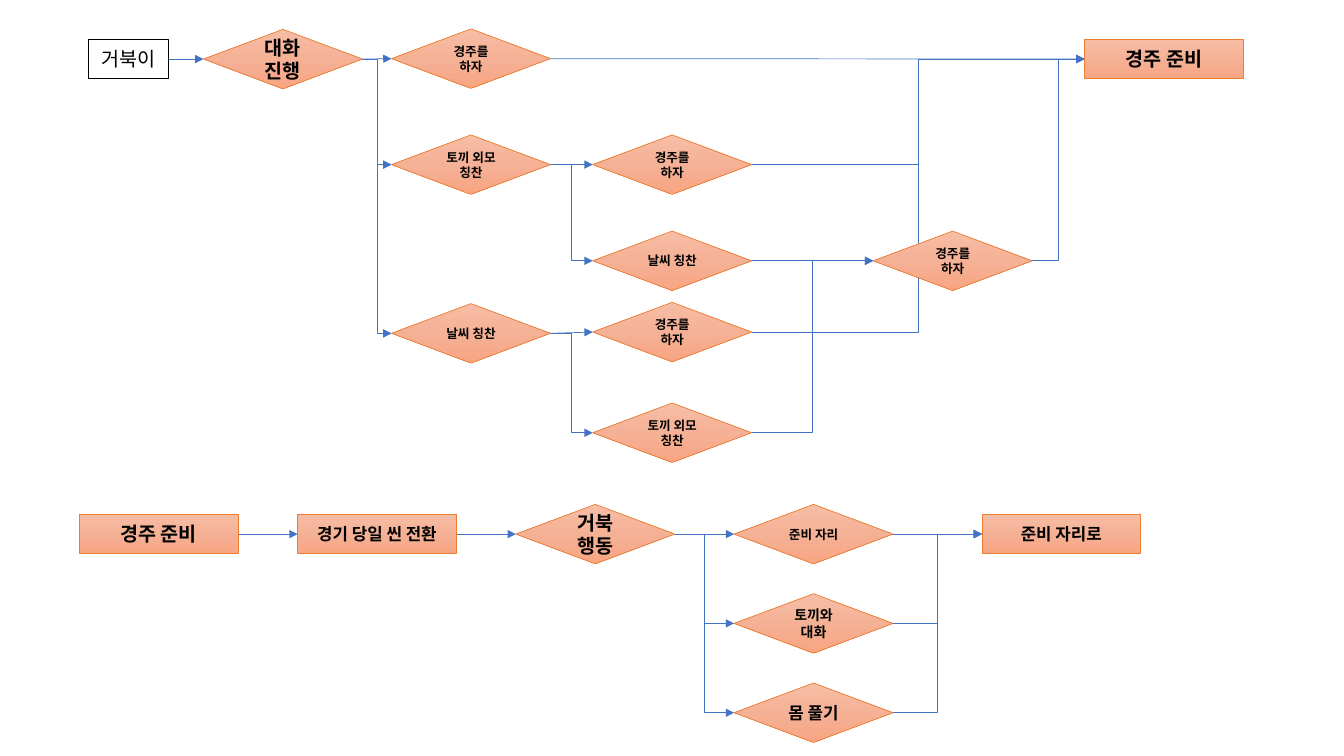
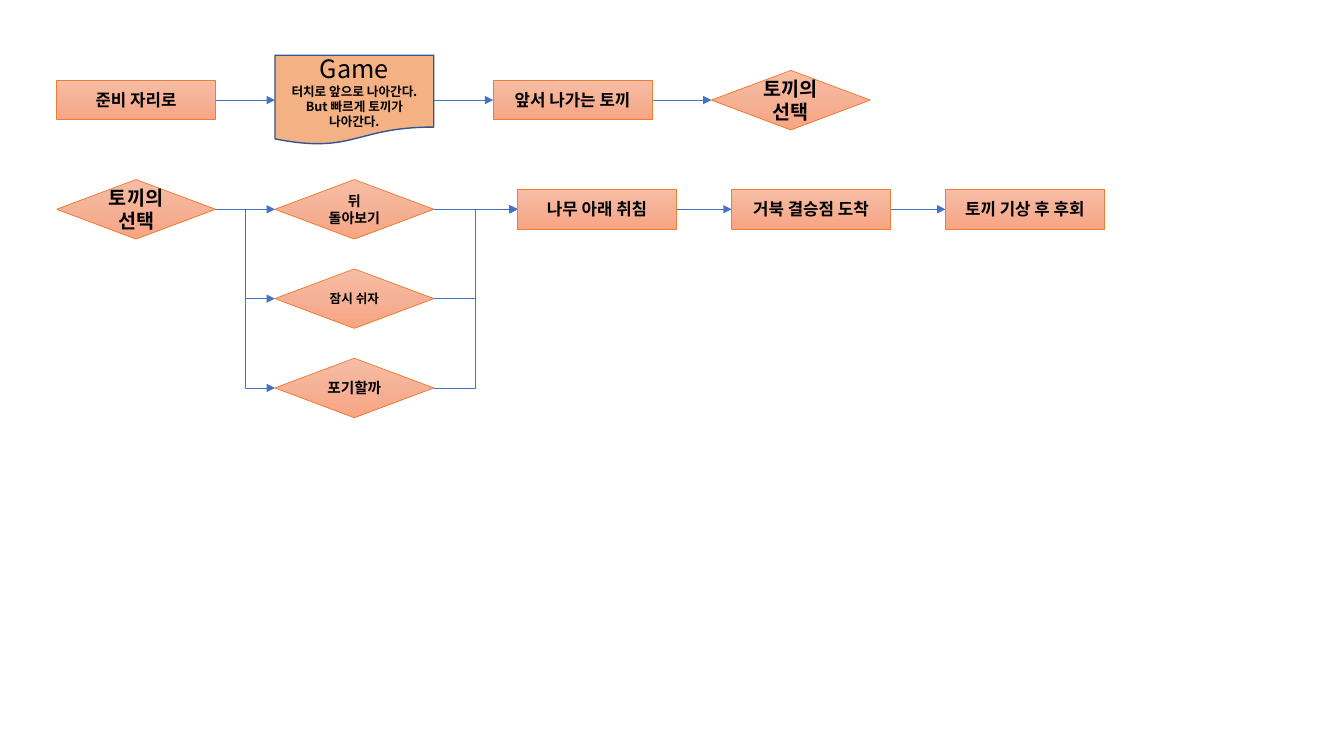
"""Draw the two-slide story flow of the tortoise and rabbit game."""
from copy import deepcopy
from pptx import Presentation
from pptx.dml.color import RGBColor
from pptx.enum.shapes import MSO_CONNECTOR, MSO_SHAPE
from pptx.enum.text import MSO_ANCHOR, PP_ALIGN
from pptx.oxml.ns import qn
from pptx.util import Pt
from lxml.etree import SubElement

COLORS = {
    "top": "F7BDA5", "mid": "F5B196", "low": "F8A582", "edge": "ED7D31",
    "link": "4472C4", "ink": "000000", "game": "F4B183", "navy": "325491",
}
COLORS = {name: RGBColor.from_string(code) for name, code in COLORS.items()}
LATIN, NOTO = "Arial", "Noto Sans CJK KR"
WIDE, STEP, DROP = 113.4, 155.9, 63.8
LEFT, RIGHT = 1, 3
KINDS = {
    "box": (MSO_SHAPE.RECTANGLE, 28.35, LATIN),
    "ask": (MSO_SHAPE.FLOWCHART_DECISION, 42.5, LATIN),
    "pick": (MSO_SHAPE.FLOWCHART_DECISION, 42.5, NOTO),
    "start": (MSO_SHAPE.RECTANGLE, 28.35, NOTO),
    "game": (MSO_SHAPE.FLOWCHART_DOCUMENT, 64, NOTO),
}


def add_node(slide, text, kind, left, mid, size, wide=WIDE, bold=True,
             head=None, fill="grad", edge="edge", weight=0.5):
    """Add a flow shape centred on the height mid; head sizes a plain first line."""
    form, high, font = KINDS[kind]
    node = slide.shapes.add_shape(form, Pt(left), Pt(mid - high / 2), Pt(wide), Pt(high))
    node.shadow.inherit = False
    if fill == "grad":
        node.fill.gradient()
        stops = node._element.spPr.find(".//" + qn("a:gsLst"))
        stops.append(deepcopy(stops[0]))
        for stop, place, tone in zip(node.fill.gradient_stops, (0, 0.5, 1), ("top", "mid", "low")):
            stop.position = place
            stop.color.rgb = COLORS[tone]
        node.fill.gradient_angle = 270
    elif fill:
        node.fill.solid()
        node.fill.fore_color.rgb = COLORS[fill]
    else:
        node.fill.background()
    node.line.color.rgb = COLORS[edge]
    node.line.width = Pt(weight)
    frame = node.text_frame
    frame.word_wrap = True
    frame.vertical_anchor = MSO_ANCHOR.MIDDLE
    for row, line in enumerate(text.split("\n")):
        para = frame.add_paragraph() if row else frame.paragraphs[0]
        para.alignment = PP_ALIGN.CENTER
        run = para.add_run()
        run.text = line
        title = head and row == 0
        run.font.size = Pt(head if title else size)
        run.font.bold = bold and not title
        run.font.color.rgb = COLORS["ink"]
        run.font.name = font
        SubElement(run.font._element, qn("a:ea"), typeface=NOTO)
    return node


def add_link(slide, first, last):
    """Join two shapes behind the flow, bending where their heights differ."""
    gap = abs(first.top + first.height / 2 - last.top - last.height / 2)
    form = MSO_CONNECTOR.ELBOW if gap > Pt(3) else MSO_CONNECTOR.STRAIGHT
    link = slide.shapes.add_connector(form, 0, 0, 0, 0)
    link.begin_connect(first, RIGHT)
    link.end_connect(last, LEFT)
    link.line.color.rgb = COLORS["link"]
    link.line.width = Pt(0.5)
    SubElement(link.line._get_or_add_ln(), qn("a:tailEnd"), type="triangle")
    SubElement(link._element.spPr, qn("a:effectLst"))
    slide.shapes._spTree.insert(2, link._element)


deck = Presentation()
deck.slide_width, deck.slide_height = Pt(960), Pt(540)

RACE, LOOKS, SKY = "경주를\n하자", "토끼 외모 칭찬", "날씨 칭찬"
TALK, ROW = 42.2, 381.5
GAME, REST = 71.5, 149.5
grid = [56.7 + STEP * col for col in range(4)]
track = [40.5 + STEP * col for col in range(4)]
end = [369.8 + 152.8 * col for col in range(3)]
plain = {"wide": 56.7, "bold": False, "fill": None, "edge": "ink", "weight": 0.75}
paper = {"head": 18, "fill": "game", "edge": "navy", "weight": 1}

PAGES = [
    ({
        "hero": ("거북이", "start", 63.4, TALK, 14, plain),
        "talk": ("대화 진행", "ask", 145.4, TALK, 14),
        "race": (RACE, "pick", 279.7, 41.9, 9),
        "looks": (LOOKS, "pick", 279.7, 117.6, 9),
        "sky": (SKY, "pick", 279.7, 238.1, 9),
        "looks race": (RACE, "pick", 423.4, 117.6, 9),
        "looks sky": (SKY, "pick", 423.4, 186.3, 9),
        "sky race": (RACE, "pick", 423.4, 237.2, 9),
        "sky looks": (LOOKS, "pick", 423.4, 309.1, 9),
        "late race": (RACE, "pick", 623.8, 186.3, 9),
        "ready": ("경주 준비", "box", 774.7, TALK, 14),
        "prep": ("경주 준비", "box", grid[0], ROW, 14),
        "day": ("경기 당일 씬 전환", "box", grid[1], ROW, 12),
        "act": ("거북 행동", "ask", grid[2], ROW, 14),
        "spot": ("준비 자리", "pick", grid[3], ROW, 9),
        "chat": ("토끼와 대화", "pick", grid[3], ROW + DROP, 10),
        "warm": ("몸 풀기", "pick", grid[3], ROW + 2 * DROP, 12),
        "go": ("준비 자리로", "box", 701.4, ROW, 12),
    }, {
        "hero": ["talk"],
        "talk": ["race", "looks", "sky"],
        "looks": ["looks race", "looks sky"],
        "sky": ["sky race", "sky looks"],
        "looks sky": ["late race"],
        "sky looks": ["late race"],
        "race": ["ready"],
        "looks race": ["ready"],
        "sky race": ["ready"],
        "late race": ["ready"],
        "prep": ["day"],
        "day": ["act"],
        "act": ["spot", "chat", "warm"],
        "spot": ["go"],
        "chat": ["go"],
        "warm": ["go"],
    }),
    ({
        "go": ("준비 자리로", "box", track[0], GAME, 12),
        "game": ("Game\n터치로 앞으로 나아간다.\nBut 빠르게 토끼가 나아간다.",
                 "game", track[1], GAME, 9, paper),
        "lead": ("앞서 나가는 토끼", "box", track[2], GAME, 12),
        "choice": ("토끼의 선택", "ask", track[3], GAME, 14),
        "choose": ("토끼의 선택", "ask", track[0], REST, 14),
        "look": ("뒤 돌아보기", "pick", track[1], REST, 10),
        "pause": ("잠시 쉬자", "pick", track[1], REST + DROP, 9),
        "quit": ("포기할까", "pick", track[1], REST + 2 * DROP, 10.5),
        "sleep": ("나무 아래 취침", "box", end[0], REST, 12),
        "finish": ("거북 결승점 도착", "box", end[1], REST, 12),
        "regret": ("토끼 기상 후 후회", "box", end[2], REST, 12),
    }, {
        "go": ["game"],
        "game": ["lead"],
        "lead": ["choice"],
        "choose": ["look", "pause", "quit"],
        "look": ["sleep"],
        "pause": ["sleep"],
        "quit": ["sleep"],
        "sleep": ["finish"],
        "finish": ["regret"],
    }),
]

for parts, links in PAGES:
    slide = deck.slides.add_slide(deck.slide_layouts[6])
    nodes = {}
    for name, (text, kind, left, mid, size, *look) in parts.items():
        style = look[0] if look else {}
        nodes[name] = add_node(slide, text, kind, left, mid, size, **style)
    for first, heirs in links.items():
        for last in heirs:
            add_link(slide, nodes[first], nodes[last])

deck.save("out.pptx")
